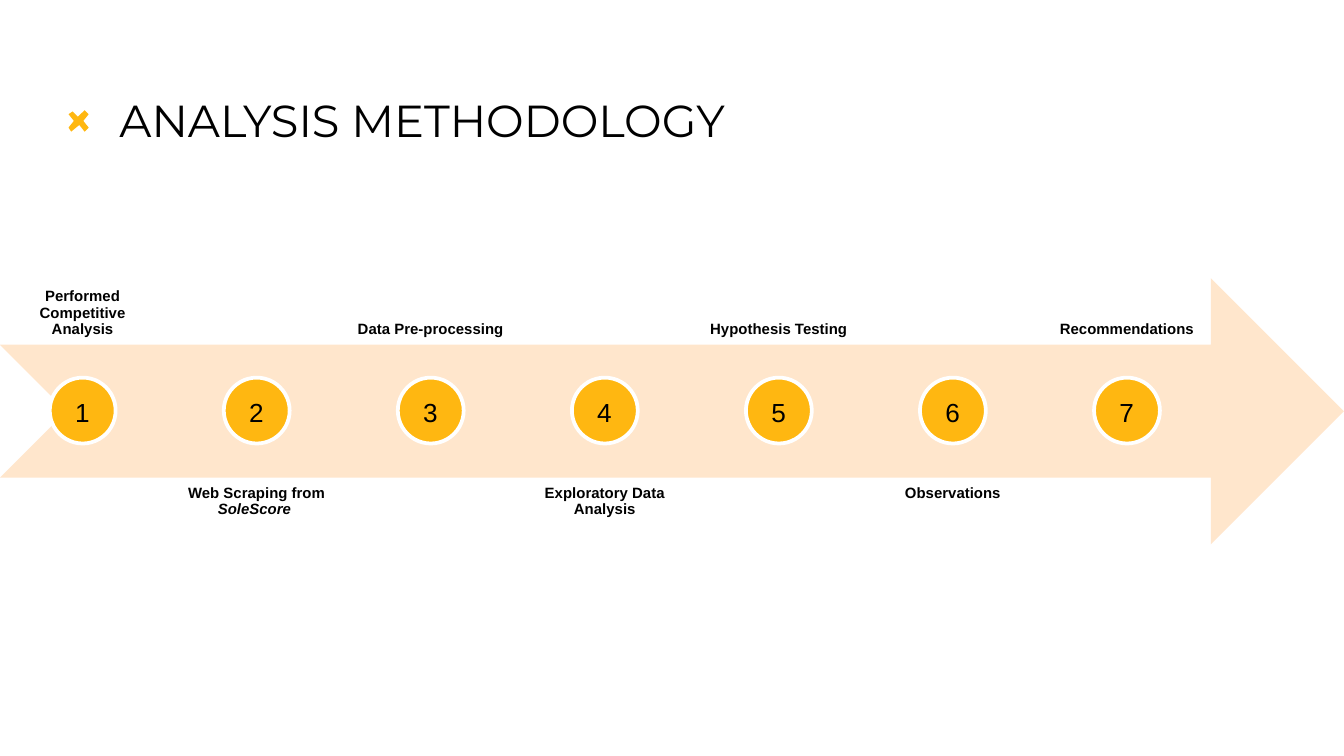
from pptx import Presentation
from pptx.dml.color import RGBColor
from pptx.enum.shapes import MSO_SHAPE
from pptx.enum.text import MSO_ANCHOR, PP_ALIGN
from pptx.util import Inches, Pt

ARROW, CIRCLE = MSO_SHAPE.NOTCHED_RIGHT_ARROW, MSO_SHAPE.OVAL
TOP, BOTTOM = MSO_ANCHOR.TOP, MSO_ANCHOR.BOTTOM
LEFT, CENTER = PP_ALIGN.LEFT, PP_ALIGN.CENTER

BLACK, WHITE, AMBER, PEACH = "000000", "FFFFFF", "FFB711", "FFE6CC"

TITLE = "ANALYSIS METHODOLOGY"
# Each step is a list of (text, italic) runs.
STEPS = [
    [("Performed Competitive Analysis", False)],
    [("Web Scraping from ", False), ("SoleScore ", True)],
    [("Data Pre-processing", False)],
    [("Exploratory Data Analysis", False)],
    [("Hypothesis Testing", False)],
    [("Observations", False)],
    [("Recommendations", False)],
]
CROSS = [
    (0.54, 0.83), (0.51, 0.85), (0.55, 0.90), (0.51, 0.95), (0.53, 0.98), (0.59, 0.93),
    (0.63, 0.98), (0.66, 0.95), (0.62, 0.90), (0.66, 0.85), (0.63, 0.82), (0.58, 0.87),
]

LABEL_WIDTH, LABEL_HEIGHT = 1.23, 1.98
STEP_PITCH = 1.295
LABEL_TOP_ABOVE, LABEL_TOP_BELOW = 0.59, 3.55
CIRCLE_SIZE, CIRCLE_TOP = 0.49, 2.81
NUMBER_OFFSET, NUMBER_TOP = 0.46, 2.9
NUMBER_WIDTH, NUMBER_HEIGHT = 0.29, 0.34


def color(hex_string):
    return RGBColor.from_string(hex_string)


def style_shape(shape, fill, line=None):
    shape.shadow.inherit = False
    shape.fill.solid()
    shape.fill.fore_color.rgb = color(fill)
    if line:
        shape.line.color.rgb = color(line)
        shape.line.width = Pt(2)
    else:
        shape.line.fill.background()


def add_text(slide, box, runs, font_name, size, inset, align=LEFT, anchor=TOP, bold=False):
    """Add a text box with one paragraph and return that paragraph."""
    frame = slide.shapes.add_textbox(*map(Inches, box)).text_frame
    frame.word_wrap = True
    frame.vertical_anchor = anchor
    inset_x, inset_y = inset
    frame.margin_left = frame.margin_right = Inches(inset_x)
    frame.margin_top = frame.margin_bottom = Inches(inset_y)
    paragraph = frame.paragraphs[0]
    paragraph.alignment = align
    paragraph.font.name = font_name
    paragraph.font.size = Pt(size)
    paragraph.font.bold = bold
    paragraph.font.color.rgb = color(BLACK)
    for text, italic in runs:
        run = paragraph.add_run()
        run.text = text
        if italic:
            run.font.italic = True
    return paragraph


def add_title(slide):
    add_text(slide, (0.79, 0.59, 8.43, 0.63), [(TITLE, False)], "Montserrat", 24, (0.1, 0.1))

    points = [(Inches(x), Inches(y)) for x, y in CROSS]
    builder = slide.shapes.build_freeform(*points[0])
    builder.add_line_segments(points[1:], close=True)
    style_shape(builder.convert_to_shape(), AMBER)


def add_step(slide, index, runs):
    """Labels alternate above and below the arrow, starting above."""
    left = index * STEP_PITCH
    top, anchor = (LABEL_TOP_BELOW, TOP) if index % 2 else (LABEL_TOP_ABOVE, BOTTOM)
    label = add_text(slide, (left, top, LABEL_WIDTH, LABEL_HEIGHT), runs,
                     "Arial", 8, (0.06, 0.06), CENTER, anchor, bold=True)
    label.line_spacing = 0.9

    circle_left = left + (LABEL_WIDTH - CIRCLE_SIZE) / 2
    circle = slide.shapes.add_shape(
        CIRCLE, Inches(circle_left), Inches(CIRCLE_TOP),
        Inches(CIRCLE_SIZE), Inches(CIRCLE_SIZE))
    style_shape(circle, AMBER, WHITE)
    add_text(slide, (left + NUMBER_OFFSET, NUMBER_TOP, NUMBER_WIDTH, NUMBER_HEIGHT),
             [(str(index + 1), False)], "Arial", 14, (0.1, 0.05))


def main():
    presentation = Presentation()
    presentation.slide_width = Inches(10)
    presentation.slide_height = Inches(5.625)
    slide = presentation.slides.add_slide(presentation.slide_layouts[6])

    add_title(slide)
    arrow = slide.shapes.add_shape(ARROW, 0, Inches(2.07), Inches(10), Inches(1.98))
    style_shape(arrow, PEACH)
    for index, runs in enumerate(STEPS):
        add_step(slide, index, runs)

    presentation.save("out.pptx")


if __name__ == "__main__":
    main()
